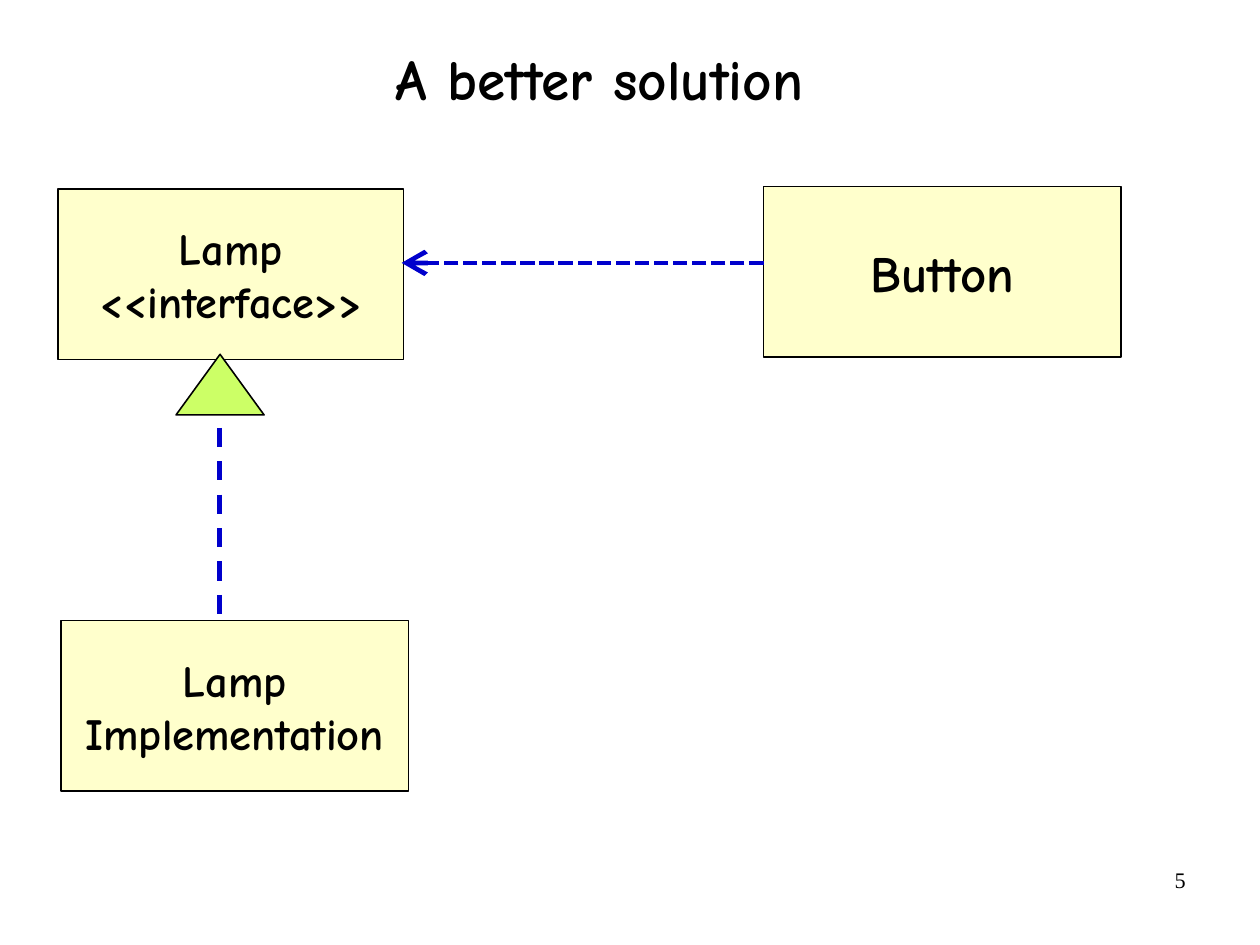
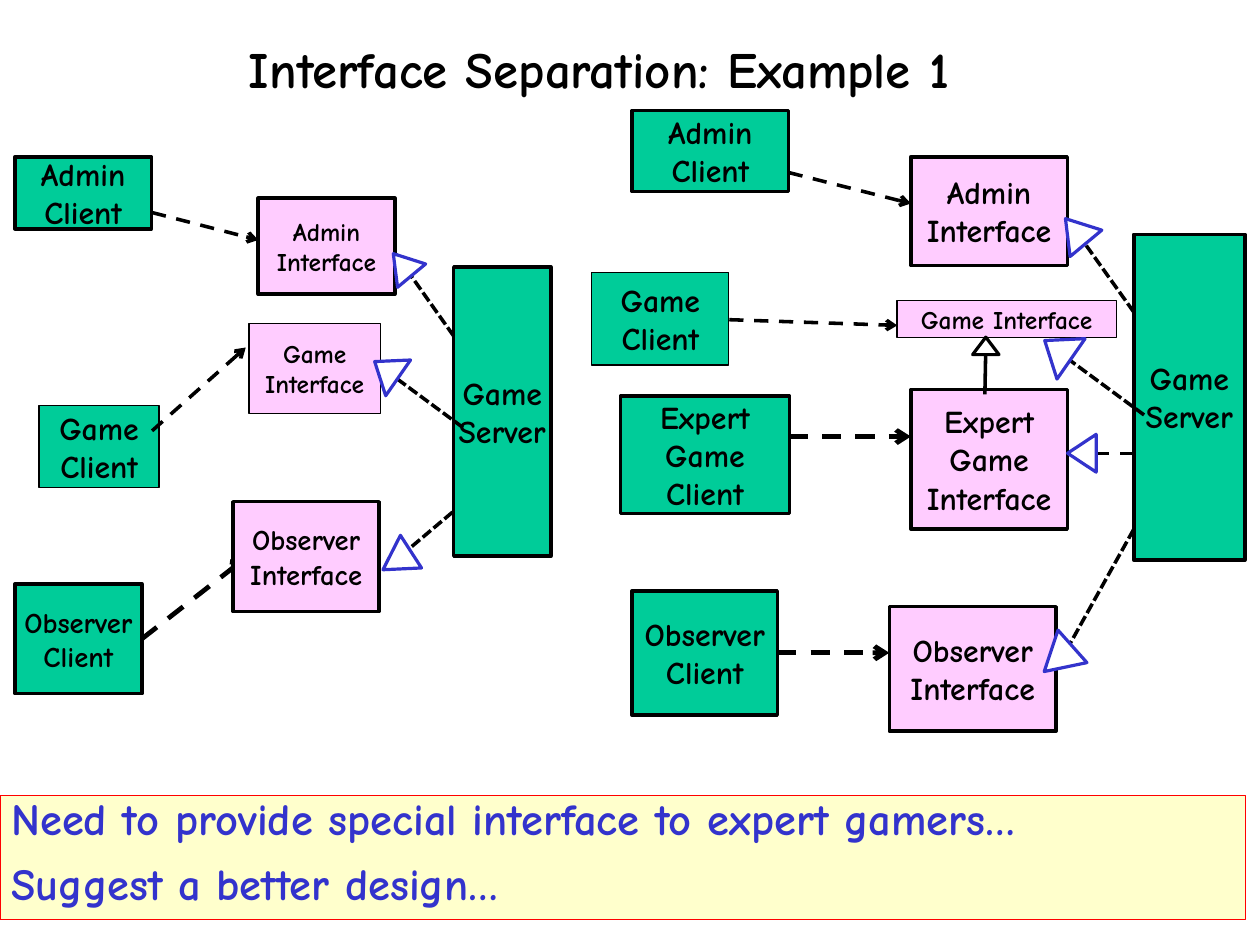
"""Build two slides on dependency inversion and interface separation."""
from dataclasses import dataclass
from typing import Optional

from lxml import etree
from pptx import Presentation
from pptx.dml.color import RGBColor
from pptx.enum.dml import MSO_LINE
from pptx.enum.shapes import MSO_CONNECTOR, MSO_SHAPE
from pptx.enum.text import MSO_ANCHOR, MSO_AUTO_SIZE, PP_ALIGN
from pptx.oxml.ns import qn
from pptx.util import Pt

BLACK = RGBColor(0x00, 0x00, 0x00)
WHITE = RGBColor(0xFF, 0xFF, 0xFF)
CREAM = RGBColor(0xFF, 0xFF, 0xCC)
GREEN = RGBColor(0x00, 0xCC, 0x99)
PINK = RGBColor(0xFF, 0xCC, 0xFF)
LIME = RGBColor(0xCC, 0xFF, 0x66)
RED = RGBColor(0xFF, 0x00, 0x00)
BLUE = RGBColor(0x00, 0x00, 0xCC)
INDIGO = RGBColor(0x33, 0x33, 0xCC)
FONT = "Comic Neue"
NUMBER_FONT = "Times New Roman"
DASH = MSO_LINE.DASH
SHORT_DASH = MSO_LINE.SQUARE_DOT
RECTANGLE = MSO_SHAPE.RECTANGLE
TRIANGLE = MSO_SHAPE.ISOSCELES_TRIANGLE
STRAIGHT = MSO_CONNECTOR.STRAIGHT
TOP, MIDDLE = MSO_ANCHOR.TOP, MSO_ANCHOR.MIDDLE
CENTER, RIGHT = PP_ALIGN.CENTER, PP_ALIGN.RIGHT
NO_AUTOFIT = MSO_AUTO_SIZE.NONE
TITLE_AND_CONTENT, TITLE_ONLY = 1, 5


@dataclass(frozen=True)
class Area:
    """Position and size in points."""
    left: float
    top: float
    width: float
    height: float

    def lengths(self) -> tuple:
        """Return the four lengths as Pt values."""
        return Pt(self.left), Pt(self.top), Pt(self.width), Pt(self.height)


@dataclass(frozen=True)
class ClassBox:
    """A labelled class, one paragraph for each line of the label."""
    label: str
    area: Area
    size: float = 20
    border: float = 2.25


@dataclass(frozen=True)
class Link:
    """A line between two points, with an optional arrowhead size."""
    start: tuple
    end: tuple
    width: float = 2.25
    dash: Optional[MSO_LINE] = DASH
    color: RGBColor = BLACK
    arrow: Optional[str] = None


@dataclass(frozen=True)
class Head:
    """A triangle that ends a realization line."""
    area: Area
    rotation: float = 0
    fill: Optional[RGBColor] = WHITE
    color: RGBColor = INDIGO
    border: float = 2


LAMP_CLASSES = (
    ClassBox("Lamp\n<<interface>>", Area(36.7, 118.9, 217.4, 107.5), 28, 1),
    ClassBox("Lamp\nImplementation", Area(38.4, 391, 219, 107.5), 28, 1),
    ClassBox("Button", Area(481, 117.5, 225.2, 107.5), 32, 1),
)
LAMP_LINKS = (
    Link((138.2, 227.5), (138.2, 390), 3, DASH, BLUE),
    Link((481, 165.6), (253, 165.6), 3, SHORT_DASH, BLUE, "lg"),
)
LAMP_HEADS = (Head(Area(110.9, 223.2, 55.5, 38.2), 0, LIME, BLACK, 1),)

CLIENTS_AND_SERVERS = (
    ClassBox("Admin\nClient", Area(9.4, 98.8, 86, 45.4)),
    ClassBox("Game\nClient", Area(24.6, 255.4, 75.6, 51.8), border=0.75),
    ClassBox("Observer\nClient", Area(9.4, 367.8, 80, 69.2), 18),
    ClassBox("Game\nServer", Area(285.8, 168.2, 61.2, 182.2)),
    ClassBox("Admin\nClient", Area(398.2, 69.6, 98.6, 51)),
    ClassBox("Game\nClient", Area(372.8, 171.6, 86.4, 58.4), border=0.75),
    ClassBox("Expert\nGame\nClient", Area(390.8, 249.6, 106.5, 74)),
    ClassBox("Observer\nClient", Area(398.2, 372.2, 91.5, 78.4)),
    ClassBox("Game\nServer", Area(714.2, 147.6, 70, 205.2)),
)
DEPENDENCIES = (
    Link((95.8, 133.9), (162.7, 151.2), arrow="med"),
    Link((95.8, 271.4), (154.8, 218.9), arrow="med"),
    Link((89.3, 402.5), (154.8, 351.4), 3, arrow="med"),
    Link((496.8, 108.7), (573.8, 128.2), arrow="med"),
    Link((459.4, 201.4), (565.2, 205), arrow="med"),
    Link((496.8, 275), (573.8, 275), 3, arrow="med"),
    Link((489.6, 411.2), (560.2, 411.2), 3, arrow="med"),
)
INTERFACES = (
    ClassBox("Admin\nInterface", Area(162.7, 124.8, 86, 60.5), 16),
    ClassBox("Game\nInterface", Area(156.8, 203.6, 82.8, 56.8), 16, 0.75),
    ClassBox("Observer\nInterface", Area(146.9, 316, 92, 69.2), 18),
    ClassBox("Admin\nInterface", Area(573.8, 98.8, 98.6, 68.4)),
    ClassBox("Game Interface", Area(565, 189.5, 138.2, 23), 16, 0.75),
    ClassBox("Expert\nGame\nInterface", Area(573.8, 245.4, 98.6, 87.8)),
    ClassBox("Observer\nInterface", Area(560.2, 382.2, 105.1, 78.4)),
)
REALIZATIONS = (
    Link((285.8, 211.7), (249.1, 159.8), dash=SHORT_DASH),
    Link((291.6, 269.3), (239, 230.4), dash=SHORT_DASH),
    Link((285.1, 322.6), (257, 346.3), dash=SHORT_DASH),
    Link((714.2, 196.6), (672.5, 138.2), dash=SHORT_DASH),
    Link((720.7, 261.4), (661, 217.4), dash=SHORT_DASH),
    Link((714.2, 285.8), (672.5, 285.8)),
    Link((714.2, 333.4), (665.3, 421.2), dash=SHORT_DASH),
    Link((620.9, 223.9), (620.4, 248.4), dash=None),
)
REALIZATION_HEADS = (
    Head(Area(242, 157.7, 23, 18), 320.3),
    Head(Area(229.7, 223.9, 27.4, 18), 304.8),
    Head(Area(237.8, 342.7, 24.5, 21), 237.1),
    Head(Area(664.6, 135.4, 26, 20.2), 320.3),
    Head(Area(650.9, 210.2, 31, 20.2), 304.8),
    Head(Area(669.6, 276.5, 23.8, 18), 270),
    Head(Area(653, 403.2, 27.4, 23.8), 228.3),
    Head(Area(612.7, 212.4, 16.6, 11), 0, None, BLACK),
)
ADVICE = (
    "Need to provide special interface to expert gamers…",
    "Suggest a better design…",
)


def style_font(paragraph, size: float, color: RGBColor = BLACK,
               name: str = FONT, bold: bool = True) -> None:
    """Set the font of a whole paragraph."""
    font = paragraph.font
    font.name, font.size, font.bold = name, Pt(size), bold
    font.color.rgb = color


def place(shape, area: Area) -> None:
    """Move and size a placeholder."""
    shape.left, shape.top, shape.width, shape.height = area.lengths()


def add_titled_slide(deck, layout: int, title: str, area: Area, size: float,
                     spacing: float, anchor: MSO_ANCHOR):
    """Add a slide and format its title placeholder."""
    slide = deck.slides.add_slide(deck.slide_layouts[layout])
    heading = slide.shapes.title
    place(heading, area)
    frame = heading.text_frame
    frame.text = title
    frame.auto_size = NO_AUTOFIT
    frame.vertical_anchor = anchor
    paragraph = frame.paragraphs[0]
    paragraph.alignment = CENTER
    paragraph.line_spacing = spacing
    style_font(paragraph, size)
    return slide


def outline(shape, color: RGBColor, width: float) -> None:
    """Set the border of a shape."""
    shape.line.color.rgb = color
    shape.line.width = Pt(width)


def draw_classes(slide, boxes: tuple, fill: RGBColor) -> None:
    """Draw class boxes with centred labels."""
    for box in boxes:
        shape = slide.shapes.add_shape(RECTANGLE, *box.area.lengths())
        shape.shadow.inherit = False
        shape.fill.solid()
        shape.fill.fore_color.rgb = fill
        outline(shape, BLACK, box.border)
        frame = shape.text_frame
        frame.word_wrap = False
        frame.vertical_anchor = MIDDLE
        frame.text = box.label
        for paragraph in frame.paragraphs:
            paragraph.alignment = CENTER
            style_font(paragraph, box.size)


def draw_links(slide, links: tuple) -> None:
    """Draw straight lines, with an open arrowhead where asked."""
    for link in links:
        ends = [Pt(value) for value in link.start + link.end]
        connector = slide.shapes.add_connector(STRAIGHT, *ends)
        outline(connector, link.color, link.width)
        if link.dash is not None:
            connector.line.dash_style = link.dash
        properties = connector._element.spPr
        if link.arrow:
            etree.SubElement(properties.find(qn("a:ln")), qn("a:tailEnd"),
                             type="arrow", w=link.arrow, len=link.arrow)
        etree.SubElement(properties, qn("a:effectLst"))


def draw_heads(slide, heads: tuple) -> None:
    """Draw the triangles of realization lines."""
    for head in heads:
        shape = slide.shapes.add_shape(TRIANGLE, *head.area.lengths())
        shape.shadow.inherit = False
        shape.rotation = head.rotation
        if head.fill is None:
            shape.fill.background()
        else:
            shape.fill.solid()
            shape.fill.fore_color.rgb = head.fill
        outline(shape, head.color, head.border)


def draw_page_number(slide, number: str) -> None:
    """Write the page number at the lower right."""
    frame = slide.shapes.add_textbox(*Area(569, 542, 185, 41).lengths()).text_frame
    frame.word_wrap = True
    frame.text = number
    paragraph = frame.paragraphs[0]
    paragraph.alignment = RIGHT
    style_font(paragraph, 14, name=NUMBER_FONT, bold=False)


def fill_advice(slide) -> None:
    """Format the body placeholder as a framed band of advice."""
    band = slide.placeholders[1]
    place(band, Area(0, 501, 784.8, 78.5))
    band.fill.solid()
    band.fill.fore_color.rgb = CREAM
    outline(band, RED, 0.75)
    frame = band.text_frame
    frame.text = "\n".join(ADVICE)
    frame.auto_size = NO_AUTOFIT
    frame.vertical_anchor = TOP
    for index, paragraph in enumerate(frame.paragraphs):
        paragraph.line_spacing = 0.8
        paragraph.space_before = Pt(14 if index else 0)
        properties = paragraph._p.get_or_add_pPr()
        properties.set("marL", "0")
        properties.set("indent", "0")
        etree.SubElement(properties, qn("a:buNone"))
        style_font(paragraph, 28, INDIGO)


def build_lamp_slide(deck) -> None:
    """Build the slide on the lamp interface."""
    slide = add_titled_slide(deck, TITLE_ONLY, "A better solution",
                             Area(39.2, 2, 677, 99), 36, 0.9, MIDDLE)
    draw_classes(slide, LAMP_CLASSES, CREAM)
    draw_links(slide, LAMP_LINKS)
    draw_heads(slide, LAMP_HEADS)
    draw_page_number(slide, "5")


def build_game_slide(deck) -> None:
    """Build the slide on the game server interfaces."""
    slide = add_titled_slide(deck, TITLE_AND_CONTENT, "Interface Separation: Example 1",
                             Area(0, 25, 755, 99), 32, 0.88, TOP)
    fill_advice(slide)
    draw_classes(slide, CLIENTS_AND_SERVERS, GREEN)
    draw_links(slide, DEPENDENCIES)
    draw_classes(slide, INTERFACES, PINK)
    draw_links(slide, REALIZATIONS)
    draw_heads(slide, REALIZATION_HEADS)


def main() -> None:
    """Build and save the deck."""
    deck = Presentation()
    deck.slide_width, deck.slide_height = Pt(793.7), Pt(595.28)
    build_lamp_slide(deck)
    build_game_slide(deck)
    deck.save("out.pptx")


if __name__ == "__main__":
    main()
